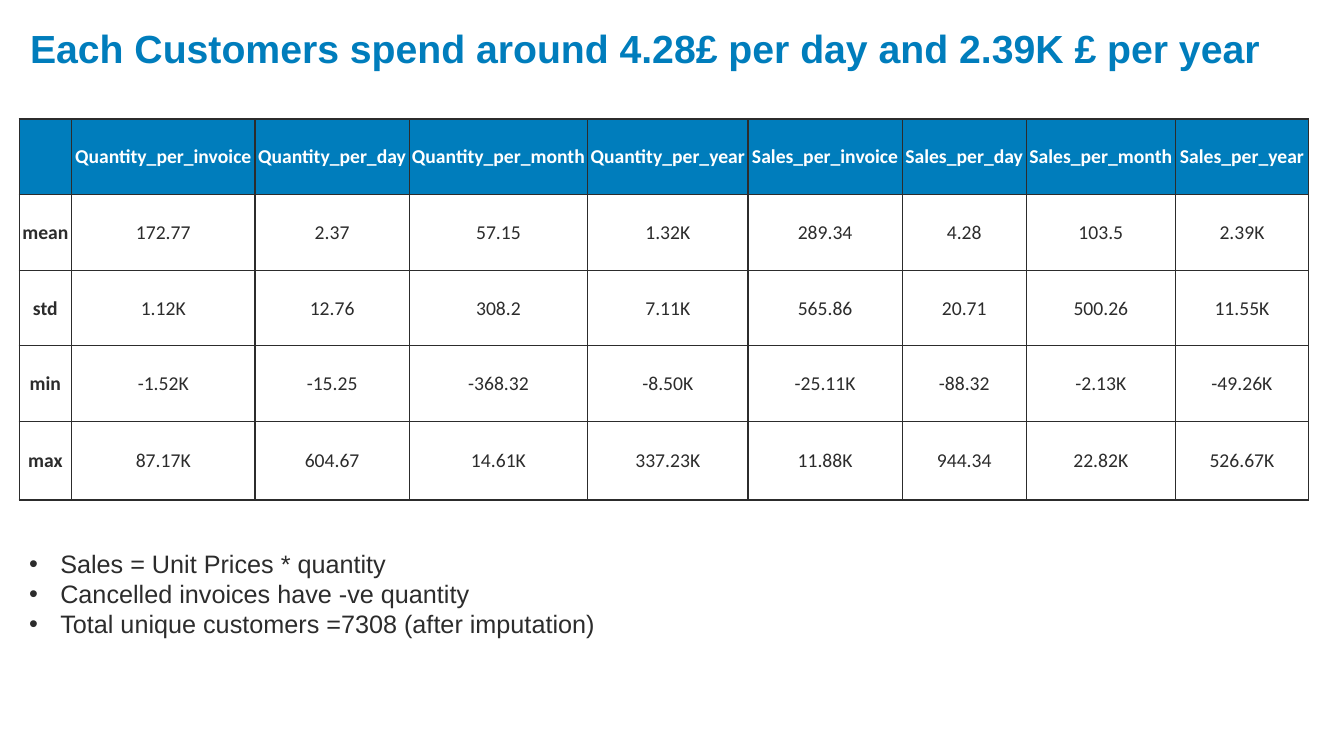
"""Build a slide summarising quantity and sales statistics per customer."""
from dataclasses import dataclass
from typing import Any

from lxml.etree import SubElement
from pptx import Presentation
from pptx.dml.color import RGBColor
from pptx.enum.text import MSO_VERTICAL_ANCHOR as Anchor, PP_PARAGRAPH_ALIGNMENT as Align
from pptx.oxml.ns import qn
from pptx.util import Inches, Pt

BLUE, DARK, WHITE = "007DBC", "2C2C2C", "FFFFFF"

COLUMN_WIDTHS = [0.52, 1.82, 1.53, 1.77, 1.59, 1.53, 1.23, 1.48, 1.32]
ROW_HEIGHTS = [0.75, 0.75, 0.75, 0.75, 0.78]
HEADERS = [""] + [
    f"{measure}_per_{period}"
    for measure in ("Quantity", "Sales")
    for period in ("invoice", "day", "month", "year")
]
STATISTICS = [
    ["mean", "172.77", "2.37", "57.15", "1.32K", "289.34", "4.28", "103.5", "2.39K"],
    ["std", "1.12K", "12.76", "308.2", "7.11K", "565.86", "20.71", "500.26", "11.55K"],
    ["min", "-1.52K", "-15.25", "-368.32", "-8.50K", "-25.11K", "-88.32", "-2.13K", "-49.26K"],
    ["max", "87.17K", "604.67", "14.61K", "337.23K", "11.88K", "944.34", "22.82K", "526.67K"],
]
CELL_FORMAT = {
    "vertical_anchor": Anchor.MIDDLE,
    "margin_left": Inches(0.01),
    "margin_top": Inches(0.01),
    "margin_right": Inches(0.01),
    "margin_bottom": 0,
}


@dataclass(frozen=True)
class TextStyle:
    """Describe the look of a run of text."""

    name: str
    size: int
    color: str
    bold: bool = False


@dataclass(frozen=True)
class TextBlock:
    """Describe a text box and its paragraphs."""

    left: float
    top: float
    width: float
    height: float
    style: TextStyle
    lines: tuple[str, ...]
    bulleted: bool = False


TEXT_BLOCKS = [
    TextBlock(0.2, 0.19, 12.94, 0.57, TextStyle("Arial", 28, BLUE, True),
              ("Each Customers spend around 4.28£ per day and 2.39K £ per year",)),
    TextBlock(0.19, 5.39, 12.14, 1.62, TextStyle("Arial", 18, DARK),
              ("Sales = Unit Prices * quantity",
               "Cancelled invoices have -ve quantity",
               "Total unique customers =7308 (after imputation)"), True),
]


def set_format(target: Any, values: dict[str, Any]) -> None:
    """Set each named attribute on the target."""
    for name, value in values.items():
        setattr(target, name, value)


def rgb(color: str) -> RGBColor:
    """Turn a hex string into a colour."""
    return RGBColor.from_string(color)


def add_text(paragraph: Any, text: str, style: TextStyle) -> None:
    """Add a styled run to the paragraph."""
    run = paragraph.add_run()
    run.text = text
    set_format(run.font, {"name": style.name, "size": Pt(style.size), "bold": style.bold})
    run.font.color.rgb = rgb(style.color)


def add_bullet(paragraph: Any) -> None:
    """Give the paragraph a bullet with a hanging indent."""
    properties = paragraph._p.get_or_add_pPr()
    indent = Inches(0.31)
    properties.set("marL", str(indent))
    properties.set("indent", str(-indent))
    SubElement(properties, qn("a:buFont"), typeface="Arial")
    SubElement(properties, qn("a:buChar"), char="•")


def add_text_block(slide: Any, block: TextBlock) -> None:
    """Draw a text box with one paragraph for each line."""
    shape = slide.shapes.add_textbox(
        *map(Inches, (block.left, block.top, block.width, block.height)))
    frame = shape.text_frame
    frame.word_wrap = True
    for index, line in enumerate(block.lines):
        paragraph = frame.add_paragraph() if index else frame.paragraphs[0]
        if block.bulleted:
            add_bullet(paragraph)
        add_text(paragraph, line, block.style)


def add_borders(cell: Any) -> None:
    """Draw a thin dark line on every side of the cell."""
    properties = cell._tc.get_or_add_tcPr()
    for side in ("a:lnL", "a:lnR", "a:lnT", "a:lnB"):
        line = SubElement(properties, qn(side), w=str(Pt(1)))
        fill = SubElement(line, qn("a:solidFill"))
        SubElement(fill, qn("a:srgbClr"), val=DARK)


def fill_cell(cell: Any, text: str, is_header: bool, is_label: bool) -> None:
    """Write and format one table cell."""
    set_format(cell, CELL_FORMAT)
    add_borders(cell)
    if is_header:
        cell.fill.solid()
        cell.fill.fore_color.rgb = rgb(BLUE)
    else:
        cell.fill.background()
    if text:
        paragraph = cell.text_frame.paragraphs[0]
        paragraph.alignment = Align.CENTER
        color = WHITE if is_header else DARK
        add_text(paragraph, text, TextStyle("Calibri", 14, color, is_header or is_label))


def add_statistics_table(slide: Any) -> None:
    """Draw the table of statistics."""
    rows = [HEADERS, *STATISTICS]
    table = slide.shapes.add_table(
        len(rows), len(HEADERS), Inches(0.19), Inches(1.18),
        Inches(sum(COLUMN_WIDTHS)), Inches(sum(ROW_HEIGHTS))).table
    set_format(table, {"first_row": False, "horz_banding": False})
    for column, width in zip(table.columns, COLUMN_WIDTHS):
        column.width = Inches(width)
    for row, height in zip(table.rows, ROW_HEIGHTS):
        row.height = Inches(height)
    for row_index, values in enumerate(rows):
        for column_index, text in enumerate(values):
            fill_cell(table.cell(row_index, column_index), text,
                      row_index == 0, column_index == 0)


def main() -> None:
    """Build and save the presentation."""
    presentation = Presentation()
    set_format(presentation, {"slide_width": Inches(13.33), "slide_height": Inches(7.5)})
    slide = presentation.slides.add_slide(presentation.slide_layouts[6])
    title, notes = TEXT_BLOCKS
    add_text_block(slide, title)
    add_statistics_table(slide)
    add_text_block(slide, notes)
    presentation.save("out.pptx")


if __name__ == "__main__":
    main()
